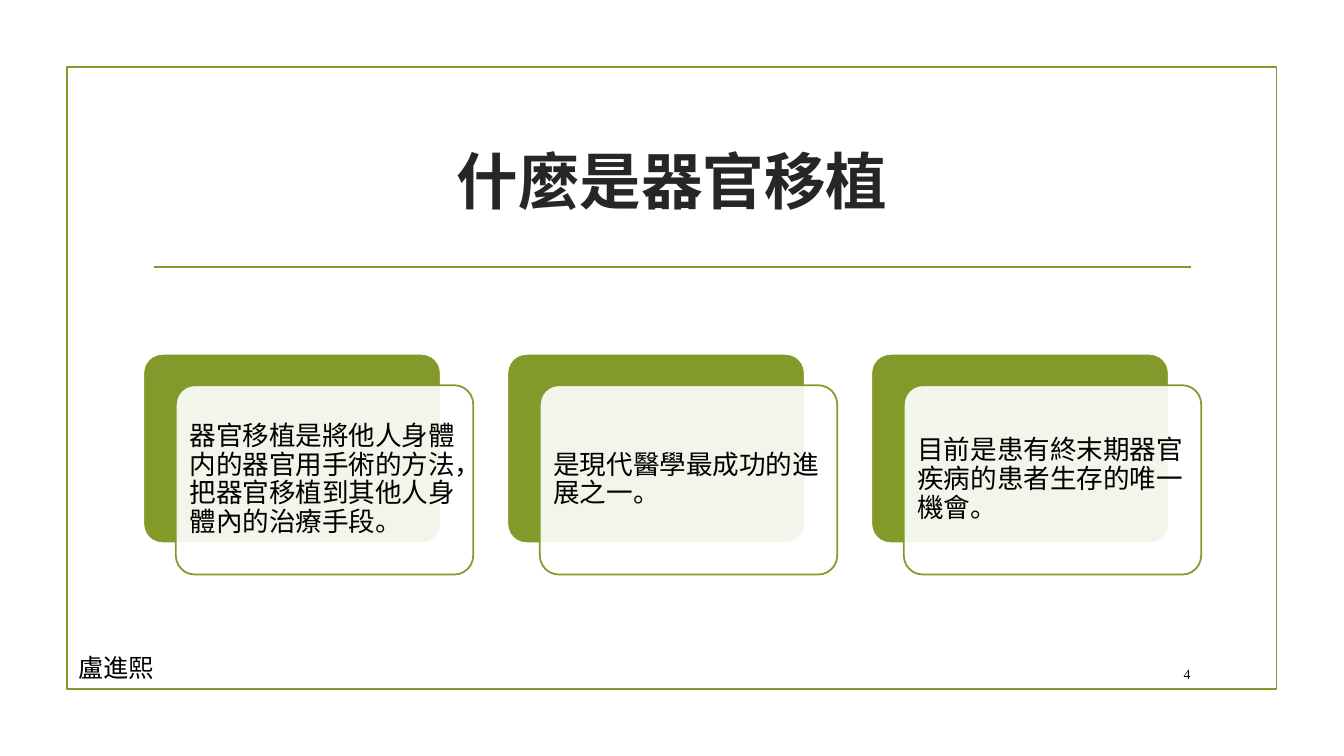
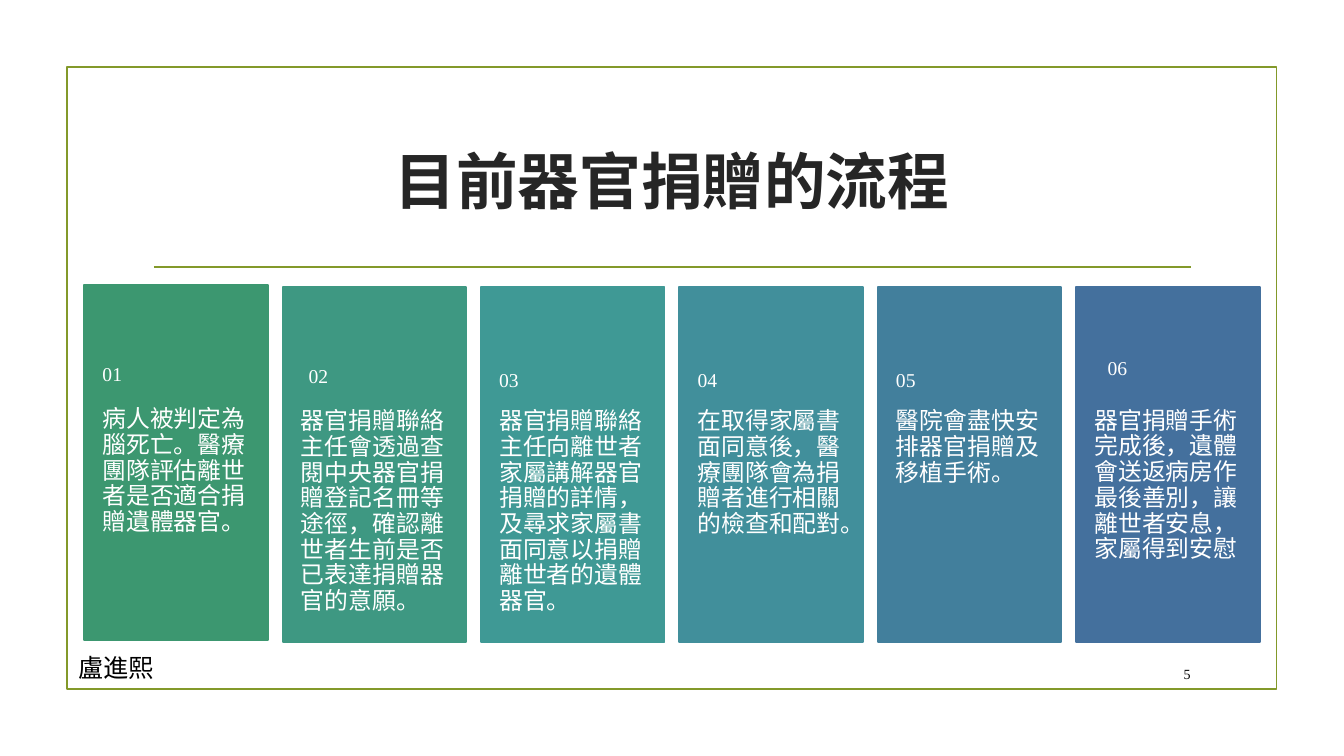
from dataclasses import dataclass

from lxml import etree
from pptx import Presentation
from pptx import util as u
from pptx.dml.color import RGBColor
from pptx.enum import shapes, text
from pptx.oxml import ns

Pt = u.Pt
GREEN, INK, BLACK, WHITE = "83992A", "262626", "000000", "FFFFFF"
CJK, SERIF = "Noto Sans CJK SC", "Times New Roman"
LINE_WIDTH = 1.25
TITLE_ONLY = 5


@dataclass(frozen=True)
class Box:
    left: float
    top: float
    width: float
    height: float

    def points(self) -> tuple:
        return Pt(self.left), Pt(self.top), Pt(self.width), Pt(self.height)


@dataclass(frozen=True)
class TextStyle:
    size: float
    color: str
    font: str = CJK
    bold: bool = False
    align: text.PP_ALIGN = text.PP_ALIGN.LEFT
    anchor: text.MSO_ANCHOR = text.MSO_ANCHOR.MIDDLE
    spacing: float = 1.0
    margins: tuple = (7.2, 3.6, 7.2, 3.6)


@dataclass(frozen=True)
class Step:
    number: str
    body: str
    color: str
    top: float = 205.2
    label_shift: float = 0
    label_top: float = 236.2


TITLE = TextStyle(44, INK, bold=True, align=text.PP_ALIGN.CENTER)
CARD = TextStyle(19, BLACK, spacing=0.9, margins=(5.8,) * 4)
STEP_BODY = TextStyle(17, WHITE, anchor=text.MSO_ANCHOR.TOP, spacing=0.9,
                      margins=(13, 87, 13, 26))
STEP_NUMBER = TextStyle(14, WHITE, SERIF, spacing=0.9, margins=(13,) * 4)
AUTHOR = TextStyle(18, BLACK, anchor=text.MSO_ANCHOR.TOP)
PAGE_NUMBER = TextStyle(10, BLACK, SERIF, align=text.PP_ALIGN.RIGHT)

CARDS = (
    "器官移植是將他人身體内的器官用手術的方法，把器官移植到其他人身體內的治療手段。",
    "是現代醫學最成功的進展之一。",
    "目前是患有終末期器官疾病的患者生存的唯一機會。",
)
STEPS = (
    Step("01", "病人被判定為腦死亡。醫療團隊評估離世者是否適合捐贈遺體器官。",
         "3C9770", top=203.8, label_top=231.8),
    Step("02", "器官捐贈聯絡主任會透過查閱中央器官捐贈登記名冊等途徑，"
         "確認離世者生前是否已表達捐贈器官的意願。",
         "3E9882", label_shift=5.5, label_top=233.3),
    Step("03", "器官捐贈聯絡主任向離世者家屬講解器官捐贈的詳情，"
         "及尋求家屬書面同意以捐贈離世者的遺體器官。", "3F9995"),
    Step("04", "在取得家屬書面同意後，醫療團隊會為捐贈者進行相關的檢查和配對。",
         "418F9B"),
    Step("05", "醫院會盡快安排器官捐贈及移植手術。", "427F9C"),
    Step("06", "器官捐贈手術完成後，遺體會送返病房作最後善別，"
         "讓離世者安息，家屬得到安慰",
         "44709D", top=204.9, label_shift=9.5, label_top=227.2),
)


def rgb(color: str) -> RGBColor:
    return RGBColor.from_string(color)


def assign(target, values: dict) -> None:
    for name, value in values.items():
        setattr(target, name, value)


def write(shape, content: str, style: TextStyle) -> None:
    left, top, right, bottom = map(Pt, style.margins)
    frame = shape.text_frame
    assign(frame, {
        "word_wrap": True, "auto_size": text.MSO_AUTO_SIZE.NONE,
        "vertical_anchor": style.anchor, "margin_left": left,
        "margin_top": top, "margin_right": right, "margin_bottom": bottom,
    })
    paragraph = frame.paragraphs[0]
    assign(paragraph, {"alignment": style.align,
                       "line_spacing": style.spacing})
    run = paragraph.add_run()
    run.text = content
    assign(run.font, {"size": Pt(style.size), "bold": style.bold,
                      "name": style.font})
    run.font.color.rgb = rgb(style.color)
    east_asian = etree.SubElement(run.font._element, ns.qn("a:ea"))
    east_asian.set("typeface", CJK)


def add_text(slide, box: Box, content: str, style: TextStyle) -> None:
    write(slide.shapes.add_textbox(*box.points()), content, style)


def add_block(slide, kind, box: Box, line: str, fill: str | None = None,
              opacity: int = 100):
    """Add a preset shape; no fill colour leaves it hollow."""
    shape = slide.shapes.add_shape(kind, *box.points())
    shape.shadow.inherit = False
    shape.line.color.rgb = rgb(line)
    shape.line.width = Pt(LINE_WIDTH)
    if fill is None:
        shape.fill.background()
        return shape
    shape.fill.solid()
    shape.fill.fore_color.rgb = rgb(fill)
    if opacity < 100:
        color = shape._element.spPr.find(
            f"{ns.qn('a:solidFill')}/{ns.qn('a:srgbClr')}")
        etree.SubElement(color, ns.qn("a:alpha")).set(
            "val", str(opacity * 1000))
    return shape


def add_base_slide(presentation, title: str, number: int):
    """Start a slide with the frame, title, rule, author and page number."""
    slide = presentation.slides.add_slide(
        presentation.slide_layouts[TITLE_ONLY])
    heading = slide.shapes.title
    assign(heading, dict(zip(("left", "top", "width", "height"),
                             Box(102.2, 77, 756, 103).points())))
    write(heading, title, TITLE)
    add_block(slide, shapes.MSO_SHAPE.RECTANGLE,
              Box(47.8, 48, 864, 444), GREEN)
    rule = slide.shapes.add_connector(
        shapes.MSO_CONNECTOR.STRAIGHT, Pt(110), Pt(190.8), Pt(850.5),
        Pt(190.8))
    rule.line.color.rgb = rgb(GREEN)
    rule.line.width = Pt(LINE_WIDTH)
    etree.SubElement(rule._element.spPr, ns.qn("a:effectLst"))
    add_text(slide, Box(815, 470, 42.5, 22.3), str(number), PAGE_NUMBER)
    add_text(slide, Box(49, 462.2, 194.4, 29), "盧進熙", AUTHOR)
    return slide


def add_cards(slide) -> None:
    width, height, pitch = 212.4, 135.2, 260
    shift_x, shift_y = 23.2, 22.4
    kind = shapes.MSO_SHAPE.ROUNDED_RECTANGLE
    for index, content in enumerate(CARDS):
        left, top = 102.4 + index * pitch, 252.8
        back = add_block(slide, kind, Box(left, top, width, height),
                         WHITE, GREEN)
        front = add_block(
            slide, kind, Box(left + shift_x, top + shift_y, width, height),
            GREEN, WHITE, opacity=90)
        for shape in (back, front):
            shape.adjustments[0] = 0.1
        write(front, content, CARD)


def add_steps(slide) -> None:
    width, height, pitch = 131.2, 253.6, 141.7
    for index, step in enumerate(STEPS):
        left = 60.2 + index * pitch
        panel = add_block(slide, shapes.MSO_SHAPE.RECTANGLE,
                          Box(left, step.top, width, height),
                          step.color, step.color)
        write(panel, step.body, STEP_BODY)
        add_text(slide,
                 Box(left + step.label_shift, step.label_top, width, 72.7),
                 step.number, STEP_NUMBER)


def main() -> None:
    presentation = Presentation()
    assign(presentation, {"slide_width": Pt(960), "slide_height": Pt(540)})
    add_cards(add_base_slide(presentation, "什麼是器官移植", 4))
    add_steps(add_base_slide(presentation, "目前器官捐贈的流程", 5))
    presentation.save("out.pptx")


if __name__ == "__main__":
    main()
